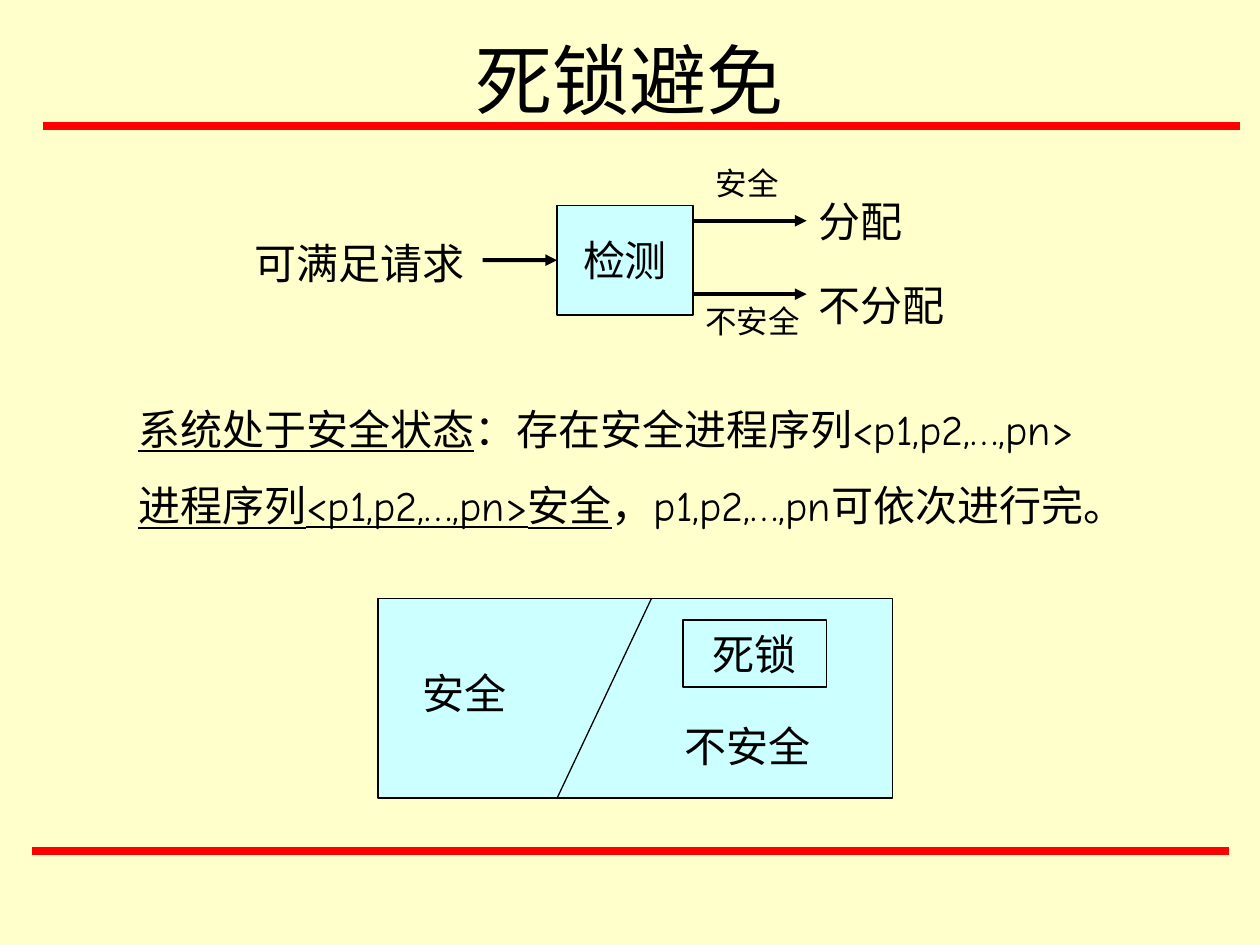
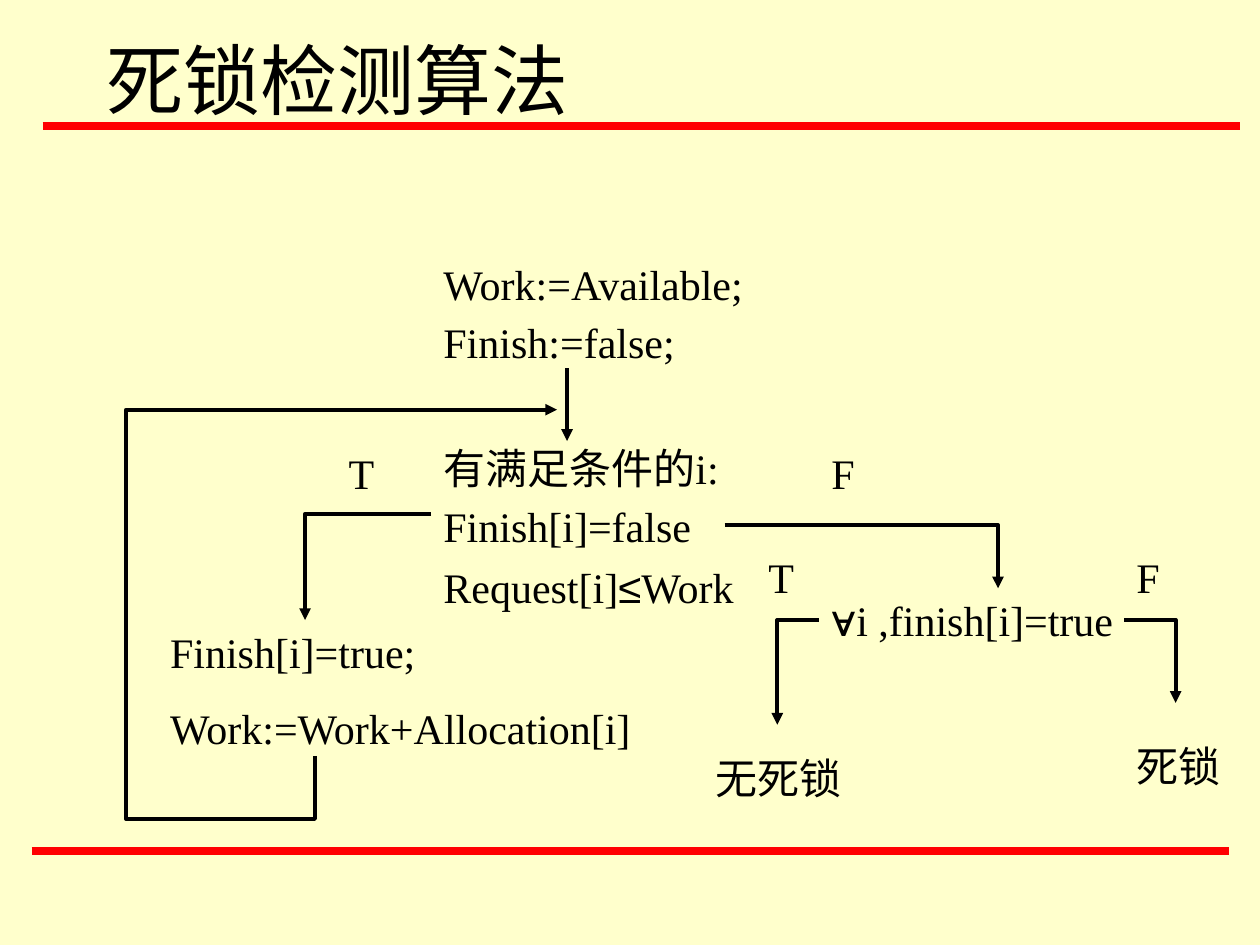
from lxml import etree
from pptx import Presentation
from pptx.dml.color import RGBColor
from pptx.enum.shapes import MSO_CONNECTOR, MSO_SHAPE
from pptx.enum.text import MSO_ANCHOR, MSO_AUTO_SIZE, PP_ALIGN
from pptx.oxml.ns import qn
from pptx.util import Cm, Pt

STRAIGHT = MSO_CONNECTOR.STRAIGHT
RECTANGLE = MSO_SHAPE.RECTANGLE
MIDDLE = MSO_ANCHOR.MIDDLE
GROW = MSO_AUTO_SIZE.SHAPE_TO_FIT_TEXT
LEFT, CENTER = PP_ALIGN.LEFT, PP_ALIGN.CENTER
LEFT_SIDE = 1

COLORS = {"paper": "FFFFCC", "rule": "FF0000", "ink": "000000", "box": "CCFFFF"}
SERIF, ROUND, SYMBOL = "Times New Roman", "Comic Neue", "Arial"
BODY, SMALL, TITLE = 24, 18, 44
THIN, ARROW, BAND = 0.75, 2.25, 4.5

# All places are in centimetres: x, y and, for boxes, width and height.
SLIDE_SIZE = (25.4, 19.05)
TITLE_PLACE = (1.9, 0, 21.6, 3.18)
RULES = [((0.64, 17.15), (24.77, 17.15)), ((0.86, 2.54), (25, 2.54))]
LABEL_HEIGHT = 1.27

# Slide 1: avoidance
CHECK = ("检测", (11.23, 4.14, 2.74, 2.21))
REQUEST_START = 9.73
OUTCOME_END = 16.26
OUTCOME_ROWS = [4.45, 5.93]
AVOIDANCE_LABELS = [  # text, x, y, width, size
    ("可满足请求", 4.88, 4.66, 5.08, BODY),
    ("分配", OUTCOME_END, 3.81, 2.4, BODY),
    ("不分配", OUTCOME_END, 5.5, 3.4, BODY),
    ("安全", 14.18, 3.18, 2.74, SMALL),
    ("不安全", 13.97, 5.97, 2.74, SMALL),
]
UNDERLINED = {"underline": True}
STATEMENTS = [
    [("系统处于安全状态", UNDERLINED), ("：存在安全进程序列<p1,p2,…,pn>", {})],
    [("进程序列<p1,p2,…,pn>安全", UNDERLINED), ("，p1,p2,…,pn可依次进行完。", {})],
]
STATEMENTS_PLACE = (2.54, 8, 20.75, 2.82)
STATES_PLACE = (7.62, 12.07, 10.37, 4.02)
STATES_DIVIDER = ((13.13, 12.07), (11.23, 16.09))
STATE_LABELS = [("安全", 8.26, 13.34, 2.54), ("不安全", 13.55, 14.39, 3.39)]
DEADLOCK = ("死锁", (13.77, 12.5, 2.9, 1.35))

# Slide 2: detection
STEPS = [  # paragraphs, place, line spacing of each paragraph
    (["Work:=Available;", "Finish:=false;"], (8.69, 5.28, 7.19, 2.21), (0.8, 0.6)),
    (["有满足条件的i:", "Finish[i]=false",
      [("Request[i]", {}), ("≤", {"name": SYMBOL}), ("Work", {})]],
     (8.69, 8.99, 8.26, 3.45), (0.8, 0.6, 0.7)),
    (["Finish[i]=true;", "Work:=Work+Allocation[i]"], (3.18, 12.5, 9.96, 2.82), ()),
    ([[("∀", {"name": SYMBOL}), ("i ,finish[i]=true", {})]],
     (16.51, 11.86, 7.19, LABEL_HEIGHT), ()),
]
DETECTION_LABELS = [  # text, x, y, width
    ("T", 6.78, 8.89, 1.27),
    ("F", 16.51, 8.89, 1.7),
    ("T", 15.24, 11, 1.47),
    ("F", 22.66, 11, 1.47),
    ("无死锁", 14.17, 15.04, 3.39),
    ("死锁", 22.66, 14.81, 2.54),
]
START_ARROW = ((11.43, 7.42), (11.43, 8.89))
BENT_ARROWS = [
    [(8.69, 10.36), (6.15, 10.36), (6.15, 12.5)],
    [(6.35, 15.24), (6.35, 16.51), (2.54, 16.51), (2.54, 8.26), (11.23, 8.26)],
    [(14.61, 10.59), (20.12, 10.59), (20.12, 11.86)],
    [(16.51, 12.5), (15.67, 12.5), (15.67, 14.61)],
    [(22.66, 12.5), (23.7, 12.5), (23.7, 14.17)],
]


def cm(values):
    return [Cm(value) for value in values]


def color(name):
    return RGBColor.from_string(COLORS[name])


def set_line(shape, width, name="ink", arrow=False):
    shape.line.color.rgb = color(name)
    shape.line.width = Pt(width)
    if arrow:
        etree.SubElement(shape.line._get_or_add_ln(), qn("a:tailEnd"), type="triangle")


def add_line(page, start, end, width, name="ink", arrow=False):
    line = page.shapes.add_connector(STRAIGHT, *cm(start + end))
    set_line(line, width, name, arrow)
    etree.SubElement(line._element.spPr, qn("a:effectLst"))
    return line


def add_bent_arrow(page, points):
    first, *others = [cm(point) for point in points]
    builder = page.shapes.build_freeform(*first)
    builder.add_line_segments(others, close=False)
    arrow = builder.convert_to_shape()
    arrow.shadow.inherit = False
    arrow.fill.background()
    set_line(arrow, ARROW, arrow=True)


def write(frame, paragraphs, size=BODY, font=SERIF, align=LEFT, gap=0, spacings=()):
    """Fill a text frame; a paragraph is a string or a list of (text, font settings)."""
    for index, content in enumerate(paragraphs):
        para = frame.add_paragraph() if index else frame.paragraphs[0]
        para.alignment = align
        para.space_before = Pt(gap)
        if spacings:
            para.line_spacing = spacings[index]
        para.font.size = Pt(size)
        para.font.name = font
        para.font.color.rgb = color("ink")
        for text, settings in [(content, {})] if isinstance(content, str) else content:
            span = para.add_run()
            span.text = text
            for setting, value in settings.items():
                setattr(span.font, setting, value)


def add_text(page, paragraphs, place, size=BODY, **style):
    box = page.shapes.add_textbox(*cm(place))
    box.text_frame.word_wrap = True
    box.text_frame.auto_size = GROW
    write(box.text_frame, paragraphs, size, gap=size * 0.625, **style)
    return box


def add_label(page, text, x, y, width, size=BODY):
    return add_text(page, [text], (x, y, width, LABEL_HEIGHT * size / BODY), size)


def add_box(page, place, text=None):
    box = page.shapes.add_shape(RECTANGLE, *cm(place))
    box.shadow.inherit = False
    box.fill.solid()
    box.fill.fore_color.rgb = color("box")
    set_line(box, THIN)
    if text:
        box.text_frame.word_wrap = False
        box.text_frame.vertical_anchor = MIDDLE
        write(box.text_frame, [text], align=CENTER)
    return box


def add_page(deck, title, align):
    """Add a slide with the shared background, red rules and title."""
    page = deck.slides.add_slide(deck.slide_layouts[6])
    page.background.fill.solid()
    page.background.fill.fore_color.rgb = color("paper")
    for start, end in RULES:
        add_line(page, start, end, BAND, "rule")
    box = page.shapes.add_textbox(*cm(TITLE_PLACE))
    box.text_frame.word_wrap = True
    box.text_frame.vertical_anchor = MIDDLE
    write(box.text_frame, [title], TITLE, align=align)
    return page


def build_avoidance(deck):
    page = add_page(deck, "死锁避免", CENTER)
    text, place = CHECK
    left, top, width, height = place
    check = add_box(page, place, text)
    middle = top + height / 2
    request = add_line(page, (REQUEST_START, middle), (left, middle), ARROW, arrow=True)
    request.end_connect(check, LEFT_SIDE)
    for row in OUTCOME_ROWS:
        add_line(page, (left + width, row), (OUTCOME_END, row), ARROW, arrow=True)
    for label in AVOIDANCE_LABELS:
        add_label(page, *label)

    add_text(page, STATEMENTS, STATEMENTS_PLACE, font=ROUND)

    add_box(page, STATES_PLACE)
    add_line(page, *STATES_DIVIDER, THIN)
    for label in STATE_LABELS:
        state = add_label(page, *label)
        state.fill.solid()
        state.fill.fore_color.rgb = color("box")
    text, place = DEADLOCK
    add_box(page, place, text)


def build_detection(deck):
    page = add_page(deck, "死锁检测算法", LEFT)
    for paragraphs, place, spacings in STEPS:
        add_text(page, paragraphs, place, spacings=spacings)
    for label in DETECTION_LABELS:
        add_label(page, *label)
    add_line(page, *START_ARROW, ARROW, arrow=True)
    for points in BENT_ARROWS:
        add_bent_arrow(page, points)


def main():
    deck = Presentation()
    deck.slide_width, deck.slide_height = cm(SLIDE_SIZE)
    build_avoidance(deck)
    build_detection(deck)
    deck.save("out.pptx")


if __name__ == "__main__":
    main()
